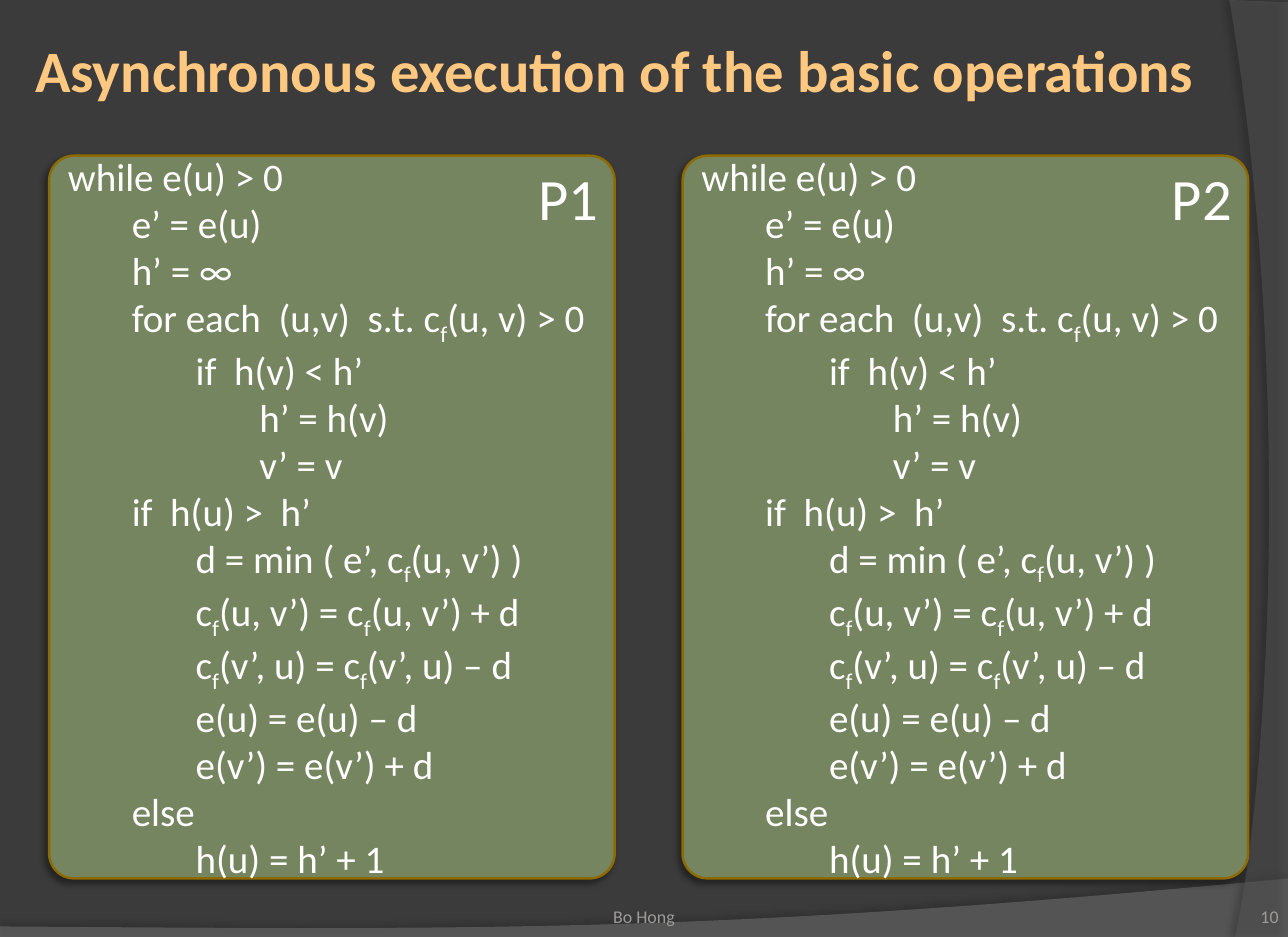
import dataclasses

import lxml.etree
import pptx
import pptx.dml.color
import pptx.enum.shapes
import pptx.enum.text
import pptx.oxml.ns
import pptx.util

Inches = pptx.util.Inches
Align = pptx.enum.text.PP_ALIGN
Anchor = pptx.enum.text.MSO_ANCHOR
Point = tuple[float, float]

FONT = "Calibri"
WHITE = "FFFFFF"
GRAY = "9D9B9A"
LEVEL_INDENT = 0.545
CURVE_STEPS = 40

# Indent level and text of each line; "_f" stands for a subscript f.
PSEUDOCODE = [
    (0, "while e(u) > 0"),
    (1, "e’ = e(u)"),
    (1, "h’ = ∞"),
    (1, "for each  (u,v)  s.t. c_f(u, v) > 0"),
    (2, "if  h(v) < h’"),
    (3, "h’ = h(v)"),
    (3, "v’ = v"),
    (1, "if  h(u) >  h’"),
    (2, "d = min ( e’, c_f(u, v’) )"),
    (2, "c_f(u, v’) = c_f(u, v’) + d"),
    (2, "c_f(v’, u) = c_f(v’, u) – d"),
    (2, "e(u) = e(u) – d"),
    (2, "e(v’) = e(v’) + d"),
    (1, "else"),
    (2, "h(u) = h’ + 1"),
]


@dataclasses.dataclass
class Shadow:
    opacity: int
    blur: float
    distance: float
    angle: int


@dataclasses.dataclass
class Swoosh:
    """A background shape: straight outline, then one Bezier curve."""
    outline: list[Point]
    curve: tuple[Point, Point, Point]
    color: str
    opacity: int
    shadow: Shadow


@dataclasses.dataclass
class Label:
    text: str
    left: float
    top: float
    width: float
    height: float
    size: float
    color: str
    align: Align = Align.LEFT
    anchor: Anchor = Anchor.TOP
    bold: bool = False
    margins: tuple[float, float, float, float] = (0.1, 0.05, 0.1, 0.05)
    wrap: bool = True


@dataclasses.dataclass
class Process:
    name: str
    left: float


SWOOSHES = [
    Swoosh([(0, 7.91), (0, 8.01), (11, 8.01), (11, 7.5)],
           ((6.15, 7.96), (4.3, 7.94), (0, 7.91)),
           "7F7F7F", 45, Shadow(35, 4, 3.5, 270)),
    Swoosh([(11, 0.02), (11, 8), (10.55, 8)],
           ((10.84, 6.6), (11.04, 3.2), (10.5, 0)),
           "5E5E5E", 40, Shadow(45, 4, 4, 180)),
]
LABELS = [
    Label("Asynchronous execution of the basic operations", 0.25, 0.25, 10.58, 0.68,
          36, "FFC880", anchor=Anchor.MIDDLE, bold=True, margins=(0.05,) * 4),
    Label("10", 10, 7.49, 0.92, 0.43, 11, GRAY, Align.RIGHT, Anchor.BOTTOM,
          margins=(0, 0, 0, 0)),
    Label("Bo Hong", 3.76, 7.49, 3.48, 0.43, 11, GRAY, Align.CENTER, Anchor.BOTTOM,
          margins=(0, 0.05, 0, 0)),
]
PROCESSES = [Process("P1", 0.42), Process("P2", 5.83)]


def rgb(color: str) -> pptx.dml.color.RGBColor:
    return pptx.dml.color.RGBColor.from_string(color)


def add_xml(parent, tag: str, **attributes):
    element = lxml.etree.SubElement(parent, pptx.oxml.ns.qn(tag))
    for name, value in attributes.items():
        element.set(name, str(value))
    return element


def fill_solid(shape, color: str) -> None:
    shape.fill.solid()
    shape.fill.fore_color.rgb = rgb(color)


def cast_shadow(shape, shadow: Shadow) -> None:
    shape.shadow.inherit = False
    effects = shape.element.spPr.find(pptx.oxml.ns.qn("a:effectLst"))
    outer = add_xml(effects, "a:outerShdw", blurRad=int(pptx.util.Pt(shadow.blur)),
                    dist=int(pptx.util.Pt(shadow.distance)),
                    dir=shadow.angle * 60000, algn="ctr", rotWithShape=0)
    add_xml(add_xml(outer, "a:srgbClr", val="000000"), "a:alpha", val=shadow.opacity * 1000)


def bezier(points: list[Point], t: float) -> Point:
    weights = ((1 - t) ** 3, 3 * t * (1 - t) ** 2, 3 * t ** 2 * (1 - t), t ** 3)
    return tuple(sum(w * point[axis] for w, point in zip(weights, points)) for axis in (0, 1))


def add_swoosh(page, swoosh: Swoosh) -> None:
    controls = [swoosh.outline[-1], *swoosh.curve]
    curve = [bezier(controls, step / CURVE_STEPS) for step in range(1, CURVE_STEPS + 1)]
    points = [(Inches(x), Inches(y)) for x, y in swoosh.outline + curve]
    builder = page.shapes.build_freeform(*points[0])
    builder.add_line_segments(points[1:], close=True)
    shape = builder.convert_to_shape()
    fill_solid(shape, swoosh.color)
    color = shape.element.spPr.find(".//" + pptx.oxml.ns.qn("a:srgbClr"))
    add_xml(color, "a:alpha", val=swoosh.opacity * 1000)
    shape.line.fill.background()
    cast_shadow(shape, swoosh.shadow)


def set_font(para, size: float, color: str, bold: bool = False) -> None:
    para.font.name = FONT
    para.font.size = pptx.util.Pt(size)
    para.font.bold = bold
    para.font.color.rgb = rgb(color)


def add_label(page, label: Label) -> None:
    box = page.shapes.add_textbox(*map(Inches, (label.left, label.top, label.width, label.height)))
    frame = box.text_frame
    frame.word_wrap = label.wrap
    frame.vertical_anchor = label.anchor
    (frame.margin_left, frame.margin_top,
     frame.margin_right, frame.margin_bottom) = map(Inches, label.margins)
    para = frame.paragraphs[0]
    para.text = label.text
    para.alignment = label.align
    set_font(para, label.size, label.color, label.bold)


def write_code_line(para, level: int, text: str) -> None:
    para.level = level
    para.alignment = Align.LEFT
    properties = para._p.get_or_add_pPr()
    properties.set("marL", str(int(Inches(level * LEVEL_INDENT))))
    properties.set("indent", "0")
    set_font(para, 24, WHITE)
    for position, part in enumerate(text.split("_f")):
        if position:
            subscript = para.add_run()
            subscript.text = "f"
            subscript.font._element.set("baseline", "-25000")
        para.add_run().text = part


def add_process(page, process: Process) -> None:
    panel = page.shapes.add_shape(pptx.enum.shapes.MSO_SHAPE.ROUNDED_RECTANGLE,
                                  *map(Inches, (process.left, 1.33, 4.83, 6.17)))
    panel.adjustments[0] = 0.044
    fill_solid(panel, "748560")
    panel.line.color.rgb = rgb("8D6B00")
    panel.line.width = pptx.util.Pt(1.5)
    cast_shadow(panel, Shadow(40, 4, 3, 135))
    frame = panel.text_frame
    frame.word_wrap = True
    frame.vertical_anchor = Anchor.MIDDLE
    for number, (level, text) in enumerate(PSEUDOCODE):
        para = frame.add_paragraph() if number else frame.paragraphs[0]
        write_code_line(para, level, text)
    add_label(page, Label(process.name, process.left + 4.08, 1.33, 0.72, 0.71,
                          36, WHITE, wrap=False))


def main() -> None:
    deck = pptx.Presentation()
    deck.slide_width, deck.slide_height = Inches(11), Inches(8)
    page = deck.slides.add_slide(deck.slide_layouts[6])
    fill_solid(page.background, "3B3B3B")
    for swoosh in SWOOSHES:
        add_swoosh(page, swoosh)
    for label in LABELS:
        add_label(page, label)
    for process in PROCESSES:
        add_process(page, process)
    deck.save("out.pptx")


if __name__ == "__main__":
    main()
